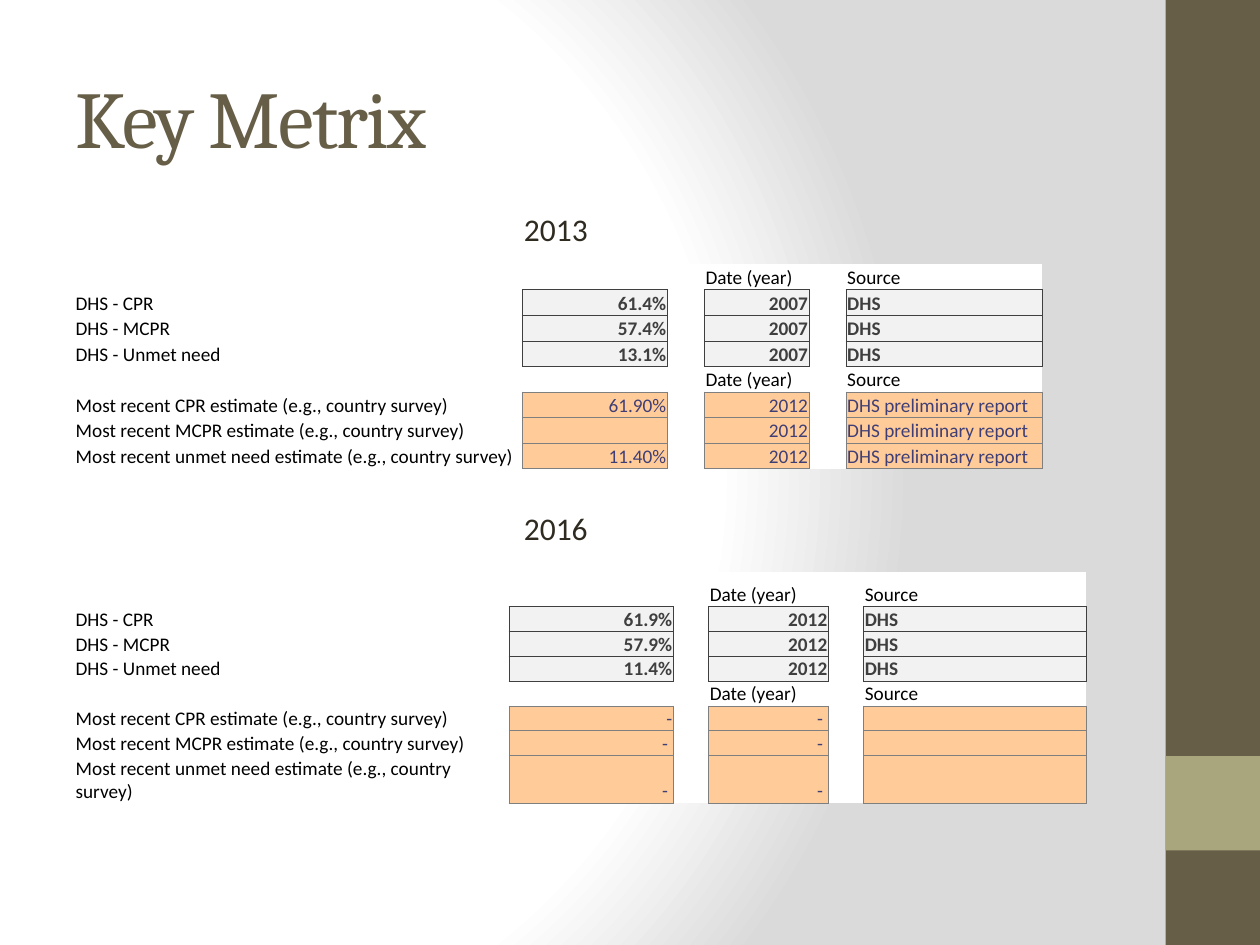
import pptx
import pptx.dml.color
import pptx.enum.shapes
import pptx.enum.text
import pptx.oxml
import pptx.oxml.ns
import pptx.util

Pt = pptx.util.Pt
ALIGN = pptx.enum.text.PP_ALIGN
ANCHOR = pptx.enum.text.MSO_ANCHOR
NAMESPACE = pptx.oxml.ns.nsdecls("a")
PLAIN_TABLE_STYLE = "{2D5ABB26-0587-4C30-8999-92F81FD0307C}"

# Look of each kind of cell: fill, text colour, bold, border
PLAIN = ("FFFFFF", "000000", False, None)
OUTPUT = ("F2F2F2", "3F3F3F", True, "3F3F3F")
INPUT = ("FFCC99", "3F3F76", False, "7F7F7F")

HEADER = ("", "", "Date (year)", "Source")
SURVEYS = ("DHS - CPR", "DHS - MCPR", "DHS - Unmet need")
ESTIMATES = [f"Most recent {name} estimate (e.g., country survey)"
             for name in ("CPR", "MCPR", "unmet need")]


def color(hex_string):
    return pptx.dml.color.RGBColor.from_string(hex_string)


def set_font(font, size, name, hex_string, bold=False):
    font.size, font.name, font.bold = Pt(size), name, bold
    font.color.rgb = color(hex_string)


def add_background(slide):
    slide.background.fill.gradient()
    gradient = slide.background.fill._fill._gradFill
    stops = "".join(
        f'<a:gs pos="{position}000"><a:srgbClr val="{value}"/></a:gs>'
        for position, value in ((0, "FFFFFF"), (75, "FFFFFF"), (100, "DADADA")))
    gradient.getparent().replace(gradient, pptx.oxml.parse_xml(
        f'<a:gradFill {NAMESPACE} rotWithShape="1"><a:gsLst>{stops}</a:gsLst>'
        '<a:path path="circle"><a:fillToRect l="20000" t="50000" r="100000" b="50000"/>'
        '</a:path></a:gradFill>'))


def add_side_band(slide, left, top, width, height):
    # Full-height bar with a square accent resting four fifths of the way down
    for offset, bar_height, fill in ((0, height, "675E47"),
                                     (height * 0.8, width, "A9A57C")):
        bar = slide.shapes.add_shape(
            pptx.enum.shapes.MSO_SHAPE.RECTANGLE,
            Pt(left), Pt(top + offset), Pt(width), Pt(bar_height))
        bar.shadow.inherit = False
        bar.fill.solid()
        bar.fill.fore_color.rgb = color(fill)
        bar.line.fill.background()


def add_title(slide, left, top, width, height, text):
    title = slide.shapes.title
    title.left, title.top, title.width, title.height = map(
        Pt, (left, top, width, height))
    title.text_frame.text = text
    title.text_frame.vertical_anchor = ANCHOR.MIDDLE
    paragraph = title.text_frame.paragraphs[0]
    paragraph.alignment = ALIGN.LEFT
    set_font(paragraph.font, 46, "Cambria", "675E47")
    paragraph.runs[0].font._element.set("spc", "-100")


def format_cell(cell, text, look, alignment=ALIGN.LEFT):
    fill, text_color, bold, border = look
    cell.margin_left = cell.margin_right = cell.margin_top = Pt(0.72)
    cell.margin_bottom = 0
    cell.vertical_anchor = ANCHOR.BOTTOM
    if border:
        for side in ("lnL", "lnR", "lnT", "lnB"):
            cell._tc.get_or_add_tcPr().append(pptx.oxml.parse_xml(
                f'<a:{side} {NAMESPACE} w="6350"><a:solidFill>'
                f'<a:srgbClr val="{border}"/></a:solidFill></a:{side}>'))
    cell.fill.solid()
    cell.fill.fore_color.rgb = color(fill)
    paragraph = cell.text_frame.paragraphs[0]
    paragraph.alignment = alignment
    set_font(paragraph.font, 11, "Calibri", text_color, bold)
    if text:
        paragraph.add_run().text = text
    else:  # keeps an empty cell as low as the others
        paragraph._p.append(pptx.oxml.parse_xml(
            f'<a:endParaRPr {NAMESPACE} sz="1100"/>'))


def add_year_heading(slide, left, top, width, height, year):
    box = slide.shapes.add_textbox(Pt(left), Pt(top), Pt(width), Pt(height))
    box.text_frame.word_wrap = True
    box.text_frame.text = year
    set_font(box.text_frame.paragraphs[0].font, 18, "Calibri", "2F2B20")


def add_metrics_table(slide, left, top, widths, heights, surveys, estimates):
    rows = [(PLAIN, HEADER)]
    rows += [(OUTPUT, (label, *values)) for label, values in zip(SURVEYS, surveys)]
    rows += [(PLAIN, HEADER)]
    rows += [(INPUT, (label, *values)) for label, values in zip(ESTIMATES, estimates)]

    frame = slide.shapes.add_table(len(rows), len(widths), Pt(left), Pt(top),
                                   Pt(sum(widths)), Pt(sum(heights)))
    table = frame.table
    table.first_row = table.horz_banding = False
    table._tbl.tblPr.find(pptx.oxml.ns.qn("a:tableStyleId")).text = PLAIN_TABLE_STYLE
    for column, width in zip(table.columns, widths):
        column.width = Pt(width)

    # Value, year and source stand in every other column, counted from the right
    count = len(widths)
    text_columns = (0, count - 5, count - 3, count - 1)
    for row_index, (look, texts) in enumerate(rows):
        table.rows[row_index].height = Pt(heights[row_index])
        row_texts = dict(zip(text_columns, texts))
        for column_index in range(count):
            is_data = column_index in text_columns[1:]
            is_number = column_index in text_columns[1:3] and look is not PLAIN
            format_cell(table.cell(row_index, column_index),
                        row_texts.get(column_index, ""),
                        look if is_data else PLAIN,
                        ALIGN.RIGHT if is_number else ALIGN.LEFT)
        if look is INPUT and text_columns[1] > 1:
            table.cell(row_index, 0).merge(
                table.cell(row_index, text_columns[1] - 1))


def main():
    presentation = pptx.Presentation()
    presentation.slide_width, presentation.slide_height = Pt(720), Pt(540)
    slide = presentation.slides.add_slide(presentation.slide_layouts[5])

    add_background(slide)
    add_side_band(slide, 666, 0, 54, 540)
    add_title(slide, 36, 21.6, 600, 90, "Key Metrix")

    # 2013
    add_year_heading(slide, 292.3, 116.6, 118.8, 29, "2013")
    report = "DHS preliminary report"
    add_metrics_table(
        slide, 42.5, 151, (256, 83, 21, 60, 21, 112), [14.6] * 8,
        [(value, "2007", "DHS") for value in ("61.4%", "57.4%", "13.1%")],
        [(value, "2012", report) for value in ("61.90%", "", "11.40%")])

    # 2016
    add_year_heading(slide, 292.3, 287.3, 67.7, 29, "2016")
    add_metrics_table(
        slide, 42.5, 326.9, (190.8, 57.6, 94, 20, 68.6, 20, 127.4),
        [19.8] + [14.2] * 7,
        [(value, "2012", "DHS") for value in ("61.9%", "57.9%", "11.4%")],
        [(value, "- ", "") for value in (" -", "- ", "- ")])

    presentation.save("out.pptx")


if __name__ == "__main__":
    main()
